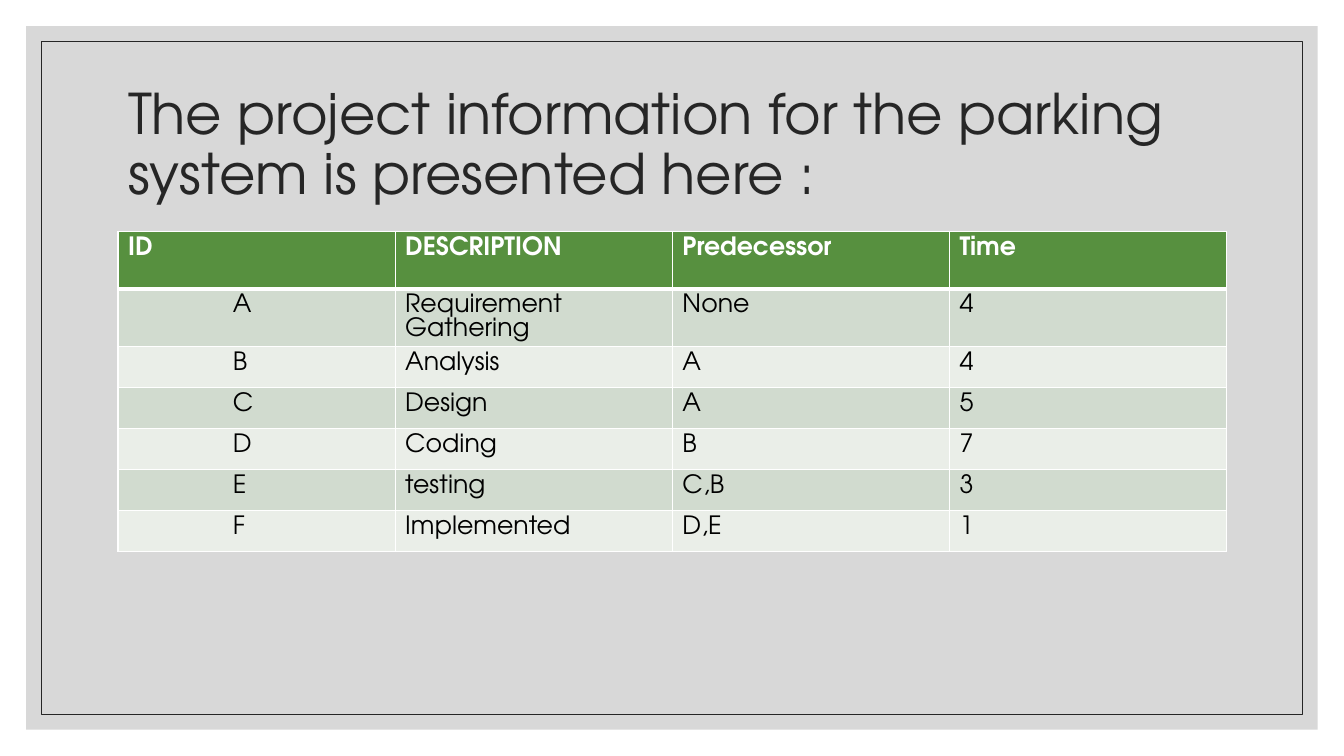
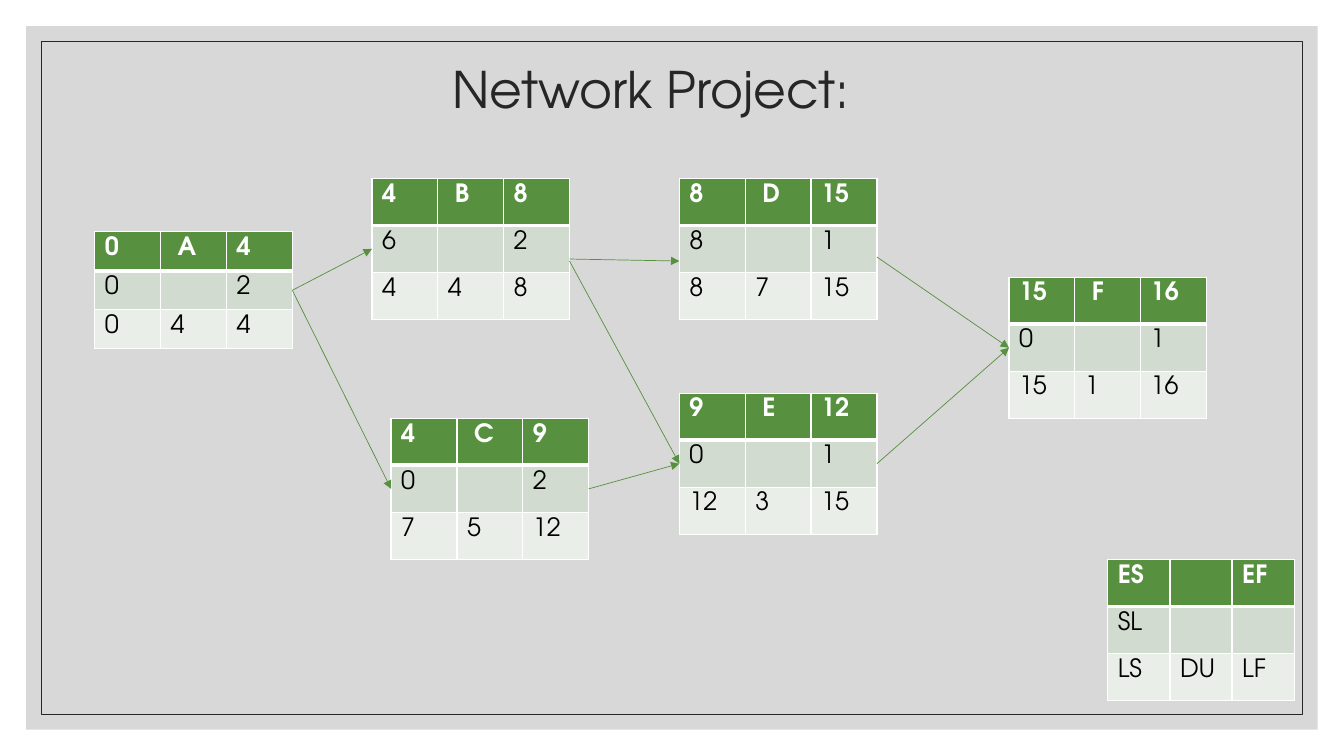
"""Build two slides of a parking project: its task list and its network."""
from dataclasses import dataclass
from typing import NamedTuple

from lxml import etree
from pptx import Presentation
from pptx import util as u
from pptx.dml.color import RGBColor
from pptx.enum import shapes, text
from pptx.oxml import ns


@dataclass(frozen=True)
class Theme:
    """Colours, font and type sizes."""
    font: str = "TeX Gyre Adventor"
    ink: str = "262626"
    body: str = "000000"
    white: str = "FFFFFF"
    panel: str = "BFBFBF"
    green: str = "57903F"
    odd: str = "D1DBCF"
    even: str = "EAEEE8"
    head: int = 40
    sub: int = 36
    cell: int = 18
    thin: float = 0.5
    rule: float = 1
    bold: float = 3


class Box(NamedTuple):
    """Left, top, width and height in grid units."""
    x: float
    y: float
    w: float
    h: float


class Node(NamedTuple):
    """A task of the network with its place and three rows of values."""
    box: Box
    rows: list[list[str]]


class Link(NamedTuple):
    """An arrow between tasks, with shifts from the middle of each side."""
    src: str
    dst: str
    out: float = 0
    into: float = 0


THEME = Theme()
ROWS = 75
COLS = ROWS * 16 / 9
PAD = 1


def grid(n: float) -> int:
    """Turn grid units into a length."""
    return u.Emu(round(n * u.Inches(7.5) / ROWS))


def area(box: Box) -> tuple[int, ...]:
    """Turn a box into four lengths."""
    return tuple(grid(n) for n in box)


def add(root, tag: str, **attrs):
    """Append a drawing element."""
    return etree.SubElement(root, ns.qn(tag), attrs)


def write(frame, words: str, *, size: float, color: str, bold: bool = False,
          gap: float = 1.0) -> None:
    """Put formatted text into a text frame."""
    frame.word_wrap = True
    para = frame.paragraphs[0]
    para.alignment = text.PP_ALIGN.LEFT
    para.line_spacing = gap
    if words:
        run = para.add_run()
        run.text = words
        run.font.name = THEME.font
        run.font.size = u.Pt(size)
        run.font.bold = bold
        run.font.color.rgb = RGBColor.from_string(color)
    else:
        mark = add(para._p, "a:endParaRPr", sz=str(size * 100))
        add(mark, "a:latin", typeface=THEME.font)


def edge(cell, tops: float, base: float) -> None:
    """Draw white borders round a cell."""
    props = cell._tc.get_or_add_tcPr()
    sides = {"L": THEME.rule, "R": THEME.rule, "T": tops, "B": base}
    for side, width in sides.items():
        line = add(props, f"a:ln{side}", w=str(u.Pt(width)))
        add(add(line, "a:solidFill"), "a:srgbClr", val=THEME.white)


def table(slide, box: Box, rows: list[list[str]], highs: list[float],
          pads: dict[tuple[int, int], float]) -> None:
    """Add a banded table, with wider left margins where pads tells."""
    wide = len(rows[0])
    grid_tab = slide.shapes.add_table(len(rows), wide, *area(box)).table
    for col in grid_tab.columns:
        col.width = grid(box.w / wide)
    for r, (row, high) in enumerate(zip(rows, highs)):
        grid_tab.rows[r].height = grid(high)
        top = r == 0
        fill = THEME.green if top else THEME.odd if r % 2 else THEME.even
        for c, words in enumerate(row):
            cell = grid_tab.cell(r, c)
            edge(cell, THEME.bold if r == 1 else THEME.rule,
                 THEME.bold if top else THEME.rule)
            cell.fill.solid()
            cell.fill.fore_color.rgb = RGBColor.from_string(fill)
            cell.margin_left = grid(pads.get((r, c), PAD))
            write(cell.text_frame, words, size=THEME.cell, bold=top,
                  color=THEME.white if top else THEME.body)


def node(slide, item: Node) -> None:
    """Add a task table of three equal rows."""
    table(slide, item.box, item.rows, [item.box.h / 3] * 3, {(0, 1): 1.7})


def arrow(slide, nodes: dict[str, Node], link: Link) -> None:
    """Join the right side of one task to the left side of the next."""
    a, b = nodes[link.src].box, nodes[link.dst].box
    ends = (a.x + a.w, a.y + a.h / 2 + link.out, b.x, b.y + b.h / 2 + link.into)
    line = slide.shapes.add_connector(
        shapes.MSO_CONNECTOR.STRAIGHT, *(grid(n) for n in ends))
    line.line.color.rgb = RGBColor.from_string(THEME.green)
    line.line.width = u.Pt(THEME.thin)
    add(line.line._get_or_add_ln(), "a:tailEnd", type="triangle")
    add(line.element.spPr, "a:effectLst")


def title(slide, box: Box, words: str, size: float) -> None:
    """Place and fill the title placeholder."""
    name = slide.shapes.title
    name.left, name.top, name.width, name.height = area(box)
    frame = name.text_frame
    frame.auto_size = text.MSO_AUTO_SIZE.NONE
    frame.vertical_anchor = text.MSO_ANCHOR.MIDDLE
    write(frame, words, size=size, color=THEME.ink, gap=0.9)


def inset(slide, gap: float):
    """Add a rectangle at an equal gap from the slide's edges."""
    box = Box(gap, gap, COLS - 2 * gap, ROWS - 2 * gap)
    rect = slide.shapes.add_shape(shapes.MSO_SHAPE.RECTANGLE, *area(box))
    rect.shadow.inherit = False
    return rect


def backdrop(slide) -> None:
    """Give the slide's layout the grey panel and its thin frame."""
    layout = slide.slide_layout
    for old in list(layout.placeholders)[1:]:
        layout.shapes.element.remove(old.element)
    panel, frame = inset(slide, 2.6), inset(slide, 4.1)
    panel.fill.solid()
    panel.fill.fore_color.rgb = RGBColor.from_string(THEME.panel)
    tint = panel.element.spPr.find(".//" + ns.qn("a:srgbClr"))
    add(tint, "a:alpha", val="60000")
    panel.line.fill.background()
    frame.fill.background()
    frame.line.color.rgb = RGBColor.from_string(THEME.ink)
    frame.line.width = u.Pt(THEME.thin)
    for spot, rect in enumerate((panel, frame), 2):
        layout.shapes.element.insert(spot, rect.element)


TASKS = [
    ["ID", "DESCRIPTION", "Predecessor", "Time"],
    ["A", "Requirement Gathering", "None", "4"],
    ["B", "Analysis", "A", "4"],
    ["C", "Design", "A", "5"],
    ["D", "Coding", "B", "7"],
    ["E", "testing", "C,B", "3"],
    ["F", "Implemented", "D,E", "1"],
]
WIDE, HIGH = 19.6, 14
NODES = {
    "A": Node(Box(9.4, 23, WIDE, 11.6),
              [["0", "A", "4"], ["0", "", "2"], ["0", "4", "4"]]),
    "B": Node(Box(36.9, 17.7, WIDE, HIGH),
              [["4", "B", "8"], ["6", "", "2"], ["4", "4", "8"]]),
    "C": Node(Box(38.8, 41.5, WIDE, HIGH),
              [["4", "C", "9"], ["0", "", "2"], ["7", "5", "12"]]),
    "D": Node(Box(67.4, 17.7, WIDE, HIGH),
              [["8", "D", "15"], ["8", "", "1"], ["8", "7", "15"]]),
    "E": Node(Box(67.4, 39, WIDE, HIGH),
              [["9", "E", "12"], ["0", "", "1"], ["12", "3", "15"]]),
    "F": Node(Box(100.1, 27.5, WIDE, HIGH),
              [["15", "F", "16"], ["0", "", "1"], ["15", "1", "16"]]),
    "key": Node(Box(109.9, 55.5, 18.5, HIGH),
                [["ES", "", "EF"], ["SL", "", ""], ["LS", "DU", "LF"]]),
}
LINKS = [
    Link("A", "B"), Link("A", "C"), Link("B", "D", 1, 1.2),
    Link("B", "E", 1.2), Link("C", "E"), Link("D", "F", 0.8), Link("E", "F"),
]


def main() -> None:
    """Build and save the slides."""
    deck = Presentation()
    deck.slide_width, deck.slide_height = grid(COLS), grid(ROWS)
    layout = deck.slide_layouts[5]
    tasks = deck.slides.add_slide(layout)
    backdrop(tasks)
    title(tasks, Box(11.7, 7, 110, 15),
          "The project information for the parking system is presented here :",
          THEME.head)
    highs = [5.7] * 2 + [4.07] * 5
    table(tasks, Box(11.7, 23, 110, sum(highs)), TASKS, highs,
          {(r, 0): 11.4 for r in range(1, len(TASKS))})

    net = deck.slides.add_slide(layout)
    title(net, Box(43.9, 5.2, 45.6, 7.9), "Network Project:", THEME.sub)
    for item in NODES.values():
        node(net, item)
    for link in LINKS:
        arrow(net, NODES, link)
    deck.save("out.pptx")


main()
